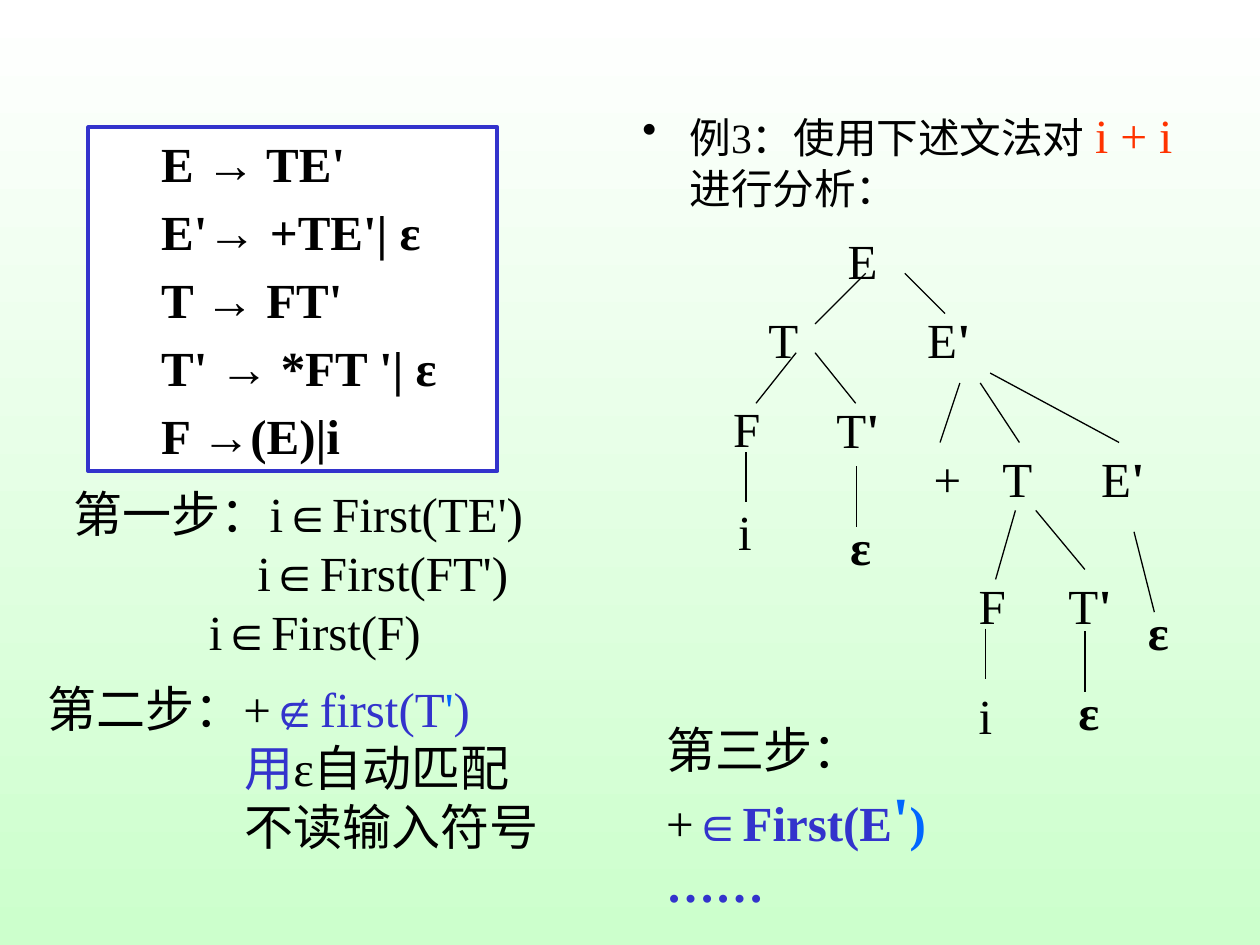
"""Build a slide that parses i + i with an LL(1) grammar and its syntax tree."""
from lxml import etree
from pptx import Presentation
from pptx.dml.color import RGBColor
from pptx.enum.shapes import MSO_CONNECTOR, MSO_SHAPE
from pptx.enum.text import MSO_ANCHOR, PP_ALIGN
from pptx.oxml.ns import qn
from pptx.util import Cm, Pt

RECTANGLE = MSO_SHAPE.RECTANGLE
STRAIGHT = MSO_CONNECTOR.STRAIGHT
TOP, LEFT = MSO_ANCHOR.TOP, PP_ALIGN.LEFT

SERIF, SANS = "Times New Roman", "Arial"
BLACK, BLUE, AZURE, RED = "000000", "3333CC", "0066FF", "FF3300"
WHITE, MINT = "FFFFFF", "CCFFCC"
BODY_SIZE = 28
NODE_HEIGHT = 1.45

EXAMPLE = [
    ("例3：使用下述文法对", BLACK, 23.8),
    (" i + i", RED, 27.2),
    (" 进行分析：", BLACK, 23.8),
]
GRAMMAR = [
    ("E ", "→", " TE'"),
    ("E'", "→ ", "+TE'| ε"),
    ("T ", "→", " FT'"),
    ("T' ", "→", " *FT '| ε"),
    ("F ", "→", "(E)|i"),
]
STEPS = [
    ((1.24, 9.63, 10.67, 3.81), [
        (0, [("第一步：i∈First(TE')", {})]),
        (3.7, [("i∈First(FT')", {})]),
        (2.72, [("i∈First(F)", {})]),
    ]),
    ((0.71, 13.56, 10.95, 3.81), [
        (0, [("第二步：+", {}), ("∉", {"color": BLUE, "font": SANS}),
             ("first(T", {"color": BLUE}), ("'", {"color": AZURE}),
             (")", {"color": BLUE})]),
        (3.97, [("用", {"color": BLUE}), ("ε自动匹配", {})]),
        (3.97, [("不读输入符号", {})]),
    ]),
    ((13.18, 14.38, 9.65, 2.97), [
        (0, [("第三步：", {})]),
        (0, [("+", {}), ("∈First(E", {"color": BLUE, "bold": True}),
             ("'", {"color": AZURE, "bold": True, "size": 36}),
             (")", {"color": AZURE, "bold": True})]),
        (0, [("……", {"color": BLUE, "bold": True})]),
    ]),
]
TREE_NODES = [
    ("E", 16.84, 4.52, 2.21), ("T", 15.24, 6.12, 2.21), ("E'", 18.44, 6.12, 2.21),
    ("F", 14.53, 7.9, 1.04), ("T'", 16.61, 7.92, 1.37), ("i", 14.63, 9.98, 0.79),
    ("ε", 16.89, 10.29, 0.91), ("+", 18.57, 8.92, 0.99), ("T", 19.96, 8.92, 1.4),
    ("E'", 21.95, 8.92, 1.8), ("F", 19.48, 11.48, 0.99), ("T'", 21.29, 11.48, 1.4),
    ("i", 19.48, 13.69, 0.99), ("ε", 21.49, 13.61, 0.91), ("ε", 22.89, 12.01, 0.91),
]
TREE_BRANCHES = [
    (17.45, 5.51, 16.43, 6.53), (18.24, 5.51, 19.05, 6.32),
    (16.05, 7.11, 15.24, 8.13), (16.43, 7.11, 17.25, 8.13),
    (15.04, 9.12, 15.04, 10.11), (17.27, 9.4, 17.27, 10.62),
    (19.35, 7.72, 18.95, 8.92), (19.76, 7.72, 20.55, 8.92),
    (19.96, 7.52, 22.56, 8.92), (20.47, 10.29, 20.07, 11.68),
    (20.88, 10.29, 21.87, 11.48), (19.86, 12.67, 19.86, 13.69),
    (21.87, 12.73, 21.87, 13.94), (22.86, 10.72, 23.27, 12.34),
]


def rgb(code):
    return RGBColor.from_string(code)


def add_run(paragraph, text, color=BLACK, size=BODY_SIZE, font=SERIF, bold=False):
    run = paragraph.add_run()
    run.text = text
    run.font.name, run.font.size, run.font.bold = font, Pt(size), bold
    run.font.color.rgb = rgb(color)


def indent(paragraph, margin, first_line=0):
    properties = paragraph._p.get_or_add_pPr()
    properties.set("marL", str(Cm(margin)))
    properties.set("indent", str(Cm(first_line)))
    return properties


def add_text(slide, box):
    frame = slide.shapes.add_textbox(*map(Cm, box)).text_frame
    frame.word_wrap = True
    return frame


def paragraphs(frame, count):
    return [frame.paragraphs[0]] + [frame.add_paragraph() for _ in range(count - 1)]


def add_example(slide):
    sentence = add_text(slide, (12.7, 2.01, 11.28, 2.57)).paragraphs[0]
    sentence.space_before = Pt(7)
    bullet = etree.SubElement(indent(sentence, 0.95, -0.95), qn("a:buChar"))
    bullet.set("char", "•")
    for text, color, size in EXAMPLE:
        add_run(sentence, text, color, size)


def add_grammar(slide):
    panel = slide.shapes.add_shape(RECTANGLE, *map(Cm, (1.78, 2.57, 8.25, 6.93)))
    panel.shadow.inherit = False
    panel.fill.solid()
    panel.fill.fore_color.rgb = rgb(WHITE)
    panel.line.color.rgb = rgb(BLUE)
    panel.line.width = Pt(2.25)
    panel.text_frame.vertical_anchor = TOP
    panel.text_frame.word_wrap = True
    for rule, parts in zip(paragraphs(panel.text_frame, len(GRAMMAR)), GRAMMAR):
        rule.alignment = LEFT
        rule.space_before = Pt(5.2)
        indent(rule, 1.22)
        for text, font in zip(parts, (SERIF, SANS, SERIF)):
            add_run(rule, text, font=font, bold=True)


def add_steps(slide):
    for box, lines in STEPS:
        frame = add_text(slide, box)
        for line, (margin, runs) in zip(paragraphs(frame, len(lines)), lines):
            indent(line, margin)
            for text, style in runs:
                add_run(line, text, **style)


def add_tree(slide):
    for symbol, left, top, width in TREE_NODES:
        frame = add_text(slide, (left, top, width, NODE_HEIGHT))
        frame.margin_right = 0
        for letter in symbol:
            add_run(frame.paragraphs[0], letter, bold=letter in "'ε")
    for ends in TREE_BRANCHES:
        branch = slide.shapes.add_connector(STRAIGHT, *map(Cm, ends))
        branch.line.color.rgb = rgb(BLACK)
        branch.line.width = Pt(0.75)
        etree.SubElement(branch._element.spPr, qn("a:effectLst"))


def main():
    deck = Presentation()
    deck.slide_width, deck.slide_height = Cm(25.4), Cm(19.05)
    slide = deck.slides.add_slide(deck.slide_layouts[6])
    backdrop = slide.background.fill
    backdrop.gradient()
    backdrop.gradient_angle = 270
    for stop, color, position in zip(backdrop.gradient_stops, (WHITE, MINT), (0, 1)):
        stop.color.rgb = rgb(color)
        stop.position = position
    add_example(slide)
    add_grammar(slide)
    add_steps(slide)
    add_tree(slide)
    deck.save("out.pptx")


if __name__ == "__main__":
    main()
